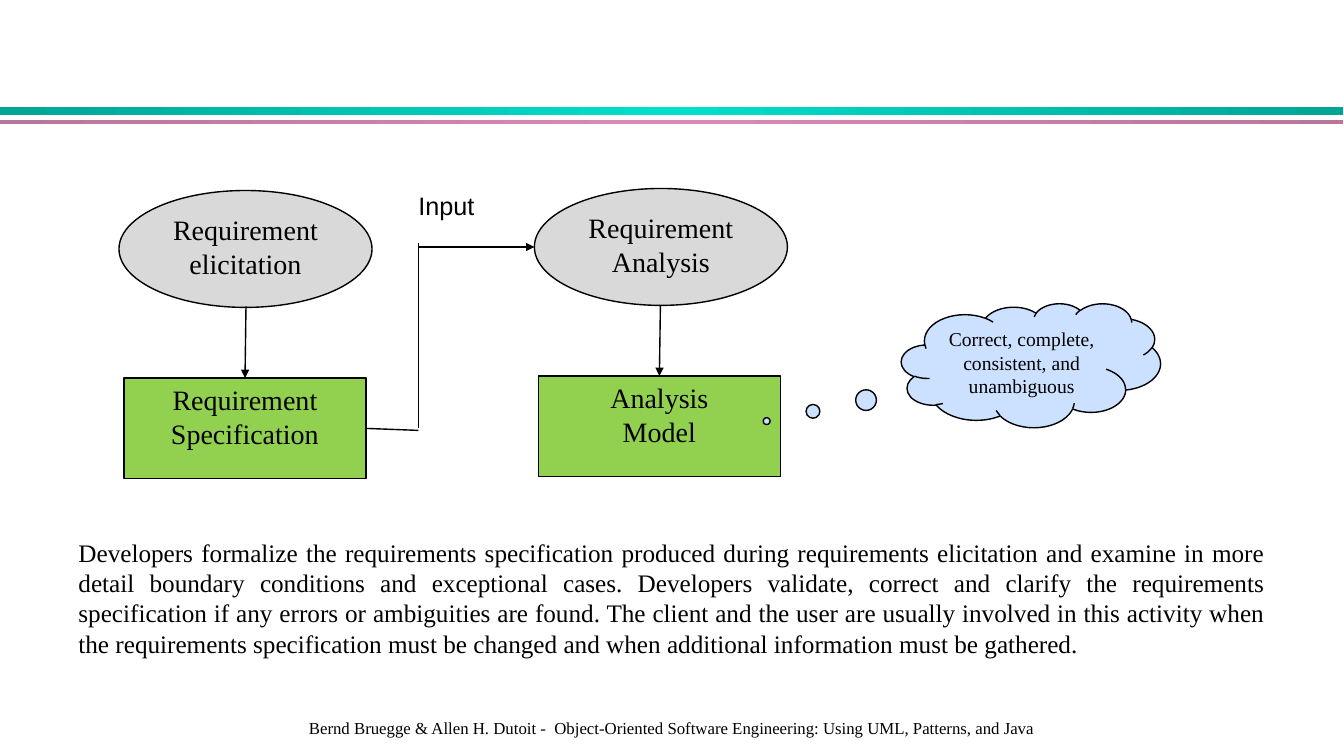
from copy import deepcopy
from dataclasses import dataclass
from typing import Optional

from lxml.etree import SubElement
from pptx import Presentation
from pptx.dml.color import RGBColor
from pptx.enum.shapes import MSO_CONNECTOR, MSO_SHAPE
from pptx.enum.text import MSO_ANCHOR, MSO_AUTO_SIZE, PP_ALIGN
from pptx.oxml.ns import qn
from pptx.util import Inches, Pt

COLORS = {
    "black": "000000",
    "teal": "00A595",
    "aqua": "00DFCA",
    "plum": "BA759D",
    "pink": "D989B8",
    "gray": "D9D9D9",
    "green": "92D050",
    "blue": "CCE0FF",
}
SERIF = "Times New Roman"


@dataclass
class Band:
    top: float
    height: float
    edge: str
    middle: str


@dataclass
class Node:
    name: str
    kind: MSO_SHAPE
    box: tuple[float, float, float, float]
    fill: str
    lines: list[str]
    size: int = 20


@dataclass
class Link:
    start: tuple[float, float]
    end: tuple[float, float]
    arrow: bool = False
    source: Optional[tuple[str, int]] = None
    target: Optional[tuple[str, int]] = None


@dataclass
class Label:
    box: tuple[float, float, float, float]
    text: str
    size: int
    align: PP_ALIGN
    font: str = SERIF
    inset: bool = True
    wrap: bool = True
    anchor: MSO_ANCHOR = MSO_ANCHOR.TOP


OVAL = (2.51, 1.16)
RECT = (2.4, 1)

BANDS = [
    Band(1.06, 0.08, "teal", "aqua"),
    Band(1.19, 0.04, "plum", "pink"),
]
NODES = [
    Node("elicit", MSO_SHAPE.OVAL, (1.18, 1.89, *OVAL), "gray", ["Requirement elicitation"]),
    Node("spec", MSO_SHAPE.RECTANGLE, (1.23, 3.75, *RECT), "green",
         ["Requirement Specification"]),
    Node("study", MSO_SHAPE.OVAL, (5.3, 1.87, *OVAL), "gray", ["Requirement Analysis"]),
    Node("model", MSO_SHAPE.RECTANGLE, (5.34, 3.73, *RECT), "green", ["Analysis", "Model"]),
    Node("cloud", MSO_SHAPE.CLOUD_CALLOUT, (8.94, 3.01, 2.57, 1.23), "blue",
         ["Correct, complete, consistent, and unambiguous"], 14),
]
LINKS = [
    Link((2.44, 3.04), (2.42, 3.75), True, target=("spec", 0)),
    Link((6.55, 3.03), (6.54, 3.73), True, target=("model", 0)),
    Link((3.62, 4.25), (4.15, 4.27), source=("spec", 3)),
    Link((4.15, 4.25), (4.15, 2.41)),
    Link((4.15, 2.45), (5.3, 2.45), True),
]
LABELS = [
    Label((1.18, 6.97, 10.97, 0.5),
          "Bernd Bruegge & Allen H. Dutoit -  Object-Oriented Software Engineering: "
          "Using UML, Patterns, and Java",
          12, PP_ALIGN.CENTER, wrap=False, anchor=MSO_ANCHOR.MIDDLE),
    Label((0.68, 5.28, 11.97, 1.31),
          "Developers formalize the requirements specification produced during requirements "
          "elicitation and examine in more detail boundary conditions and exceptional cases. "
          "Developers validate, correct and clarify the requirements specification if any "
          "errors or ambiguities are found. The client and the user are usually involved in "
          "this activity when the requirements specification must be changed and when "
          "additional information must be gathered.",
          18, PP_ALIGN.JUSTIFY),
    Label((4.15, 1.89, 1, 0.3), "Input", 18, PP_ALIGN.LEFT, "Arial", inset=False),
]


def color(name: str) -> RGBColor:
    return RGBColor.from_string(COLORS[name])


def write(frame, lines: list[str], size: int, align: PP_ALIGN, font: str = SERIF) -> None:
    frame.text = "\n".join(lines)
    for para in frame.paragraphs:
        para.alignment = align
        para.font.name = font
        para.font.size = Pt(size)
        para.font.color.rgb = color("black")


def draw_band(slide, band: Band) -> None:
    shape = slide.shapes.add_shape(
        MSO_SHAPE.RECTANGLE, 0, Inches(band.top), Inches(13.32), Inches(band.height))
    shape.shadow.inherit = False
    shape.line.fill.background()
    shape.fill.gradient()
    shape.fill.gradient_angle = 0
    stops = shape.fill._fill._gradFill.find(qn("a:gsLst"))
    stops.insert(1, deepcopy(stops[0]))
    for stop, place, name in zip(shape.fill.gradient_stops, (0, 0.5, 1),
                                 (band.edge, band.middle, band.edge)):
        stop.position = place
        stop.color.rgb = color(name)


def draw_node(slide, node: Node):
    shape = slide.shapes.add_shape(node.kind, *map(Inches, node.box))
    shape.shadow.inherit = False
    shape.fill.solid()
    shape.fill.fore_color.rgb = color(node.fill)
    shape.line.color.rgb = color("black")
    shape.line.width = Pt(1)
    if node.kind == MSO_SHAPE.CLOUD_CALLOUT:
        shape.adjustments[0] = -1.02
        shape.adjustments[1] = 0.45
    shape.text_frame.word_wrap = True
    shape.text_frame.vertical_anchor = MSO_ANCHOR.TOP
    write(shape.text_frame, node.lines, node.size, PP_ALIGN.CENTER)
    return shape


def draw_link(slide, link: Link, nodes: dict) -> None:
    line = slide.shapes.add_connector(
        MSO_CONNECTOR.STRAIGHT, *map(Inches, link.start + link.end))
    if link.source:
        name, side = link.source
        line.begin_connect(nodes[name], side)
    if link.target:
        name, side = link.target
        line.end_connect(nodes[name], side)
    line.line.color.rgb = color("black")
    line.line.width = Pt(1)
    if link.arrow:
        SubElement(line.line._get_or_add_ln(), qn("a:tailEnd"), type="triangle")
    SubElement(line._element.spPr, qn("a:effectLst"))


def draw_label(slide, label: Label) -> None:
    frame = slide.shapes.add_textbox(*map(Inches, label.box)).text_frame
    frame.word_wrap = label.wrap
    frame.auto_size = MSO_AUTO_SIZE.NONE
    frame.vertical_anchor = label.anchor
    if not label.inset:
        frame.margin_left = frame.margin_right = 0
        frame.margin_top = frame.margin_bottom = 0
    write(frame, [label.text], label.size, label.align, label.font)


def main() -> None:
    deck = Presentation()
    deck.slide_width = Inches(13.33)
    deck.slide_height = Inches(7.5)
    slide = deck.slides.add_slide(deck.slide_layouts[6])
    for band in BANDS:
        draw_band(slide, band)
    nodes = {node.name: draw_node(slide, node) for node in NODES}
    for link in LINKS:
        draw_link(slide, link, nodes)
    for label in LABELS:
        draw_label(slide, label)
    deck.save("out.pptx")


if __name__ == "__main__":
    main()
